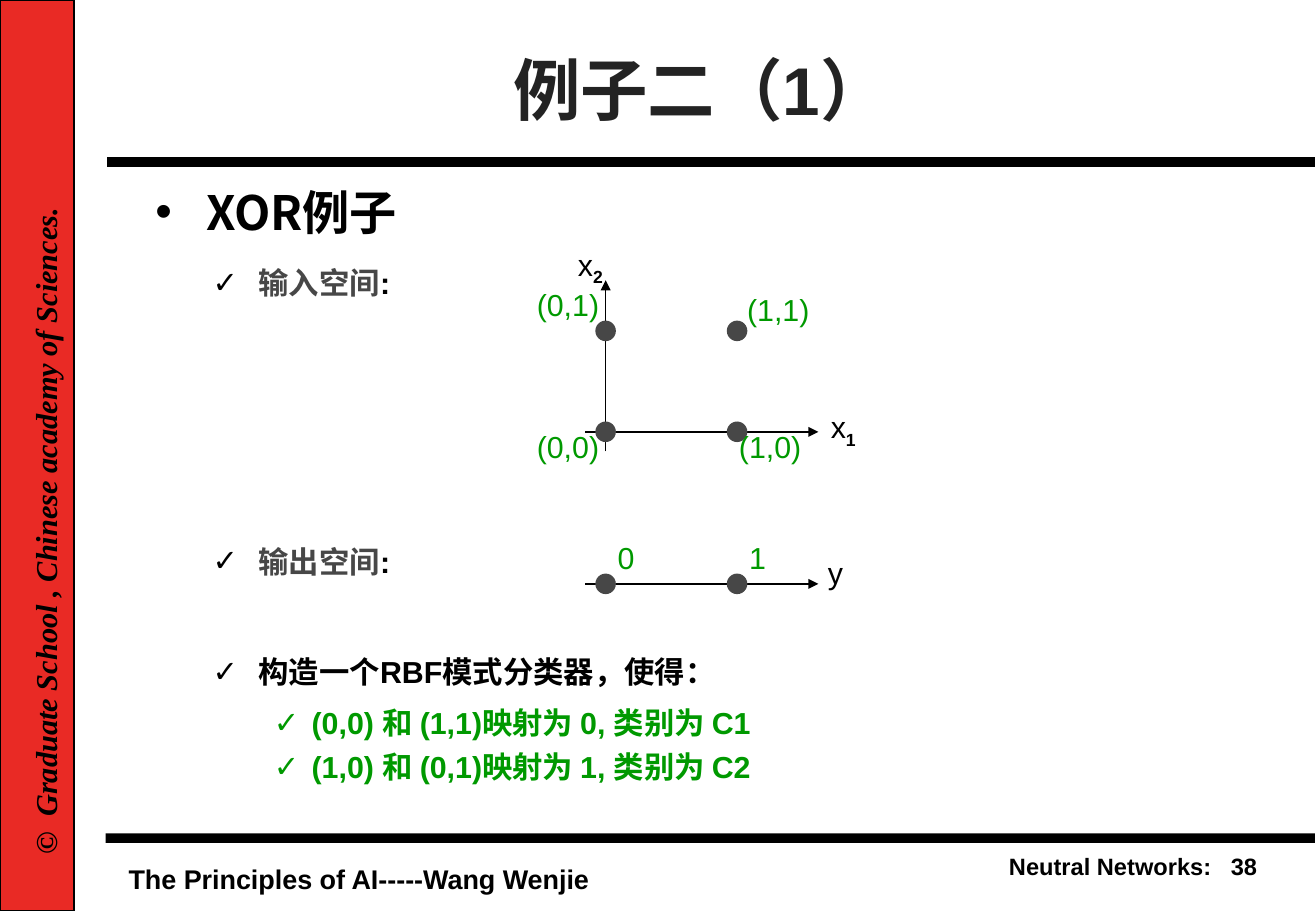
"""Builds the XOR example slide with its input and output spaces."""
from itertools import product

from lxml.etree import SubElement as Sub
from pptx import Presentation
from pptx.dml.color import RGBColor as RGB
from pptx.enum.shapes import MSO_CONNECTOR as Conn, MSO_SHAPE as Shape
from pptx.enum.text import MSO_ANCHOR as Anchor, MSO_AUTO_SIZE as Auto, PP_ALIGN as Align
from pptx.oxml.ns import qn
from pptx.util import Cm, Pt

HUES = {"ink": "000000", "title": "232323", "gray": "474747",
        "green": "009900", "red": "E92A25"}
HAN = "Noto Sans CJK SC"
SUBS = {0: (1.06, -1.06, "•"), 1: (2.16, -0.96, "✓"), 2: (3.27, -0.79, "✓")}


class Deck:
    """Holds the style and the current slide."""

    def __init__(self, wide, high):
        self.prs = Presentation()
        self.prs.slide_width, self.prs.slide_height = Cm(wide), Cm(high)
        self.slide = self.prs.slides.add_slide(self.prs.slide_layouts[1])
        self.shapes = self.slide.shapes

    def hue(self, name):
        return RGB.from_string(HUES[name])

    def run(self, para, text, size=18, hue="ink", face="Arial", base=0, **form):
        run = para.add_run()
        run.text = text
        for key, val in {"size": Pt(size), "name": face, **form}.items():
            setattr(run.font, key, val)
        run.font.color.rgb = self.hue(hue)
        props = run.font._element
        Sub(props, qn("a:ea")).set("typeface", HAN)
        if base:
            props.set("baseline", str(base * 1000))

    def frame(self, box, spot, **form):
        box.left, box.top, box.width, box.height = map(Cm, spot)
        base = {"margin_left": Cm(0.25), "margin_right": Cm(0.25),
                "margin_top": Cm(0.13), "margin_bottom": Cm(0.13),
                "auto_size": Auto.NONE, "word_wrap": True}
        for key, val in {**base, **form}.items():
            setattr(box.text_frame, key, val)
        return box.text_frame

    def title(self, text, spot):
        frame = self.frame(self.shapes.title, spot, vertical_anchor=Anchor.MIDDLE)
        para = frame.paragraphs[0]
        para.alignment = Align.CENTER
        self.run(para, text, 40, "title", bold=True)

    def items(self, rows, spot):
        frame = self.frame(self.slide.placeholders[1], spot,
                           vertical_anchor=Anchor.TOP)
        for num, (level, gap, size, face, dot, parts) in enumerate(rows):
            para = frame.add_paragraph() if num else frame.paragraphs[0]
            form = {"level": level, "space_before": Pt(gap),
                    "space_after": Pt(0), "line_spacing": 1.0}
            for key, val in form.items():
                setattr(para, key, val)
            self.mark(para, *SUBS[level], dot)
            for text, hue in parts:
                self.run(para, text, size, hue, face, bold=True)

    def mark(self, para, left, hang, sign, hue):
        props = para._p.get_or_add_pPr()
        props.set("marL", str(Cm(left)))
        props.set("indent", str(Cm(hang)))
        Sub(Sub(props, qn("a:buClr")), qn("a:srgbClr")).set("val", HUES[hue])
        Sub(props, qn("a:buFont")).set("typeface", "Arial")
        Sub(props, qn("a:buChar")).set("char", sign)

    def label(self, text, spot, sub="", align=Align.LEFT, turn=0, **form):
        box = self.shapes.add_textbox(0, 0, 0, 0)
        para = self.frame(box, spot, word_wrap=False).paragraphs[0]
        box.rotation = turn
        para.alignment = align
        self.run(para, text, **form)
        if sub:
            self.run(para, sub, base=-25, bold=True)

    def solid(self, kind, spot, hue, edge=False):
        form = self.shapes.add_shape(kind, *map(Cm, spot))
        form.shadow.inherit = False
        form.fill.solid()
        form.fill.fore_color.rgb = self.hue(hue)
        if edge:
            form.line.color.rgb = self.hue("ink")
            form.line.width = Pt(1)
        else:
            form.line.fill.background()

    def line(self, ends, width=1, arrow=True):
        link = self.shapes.add_connector(Conn.STRAIGHT, *map(Cm, ends))
        link.line.color.rgb = self.hue("ink")
        link.line.width = Pt(width)
        if arrow:
            Sub(link.line._get_or_add_ln(), qn("a:tailEnd")).set("type", "triangle")
        Sub(link._element.spPr, qn("a:effectLst"))

    def dot(self, mid, high, size=0.43):
        spot = (mid - size / 2, high - size / 2, size, size)
        self.solid(Shape.OVAL, spot, "gray")


def main():
    """Draws the slide and saves it."""
    deck = Deck(27.53, 19.05)
    deck.solid(Shape.RECTANGLE, (2.21, 17.43, 25.3, 0.2), "ink")
    deck.solid(Shape.RECTANGLE, (0, 0, 1.55, 19.05), "red", True)
    deck.line((2.24, 3.39, 27.51, 3.39), 6, False)
    deck.label("The Principles of AI-----Wang Wenjie", (2.44, 17.91, 10.21, 0.93),
               size=16, bold=True)
    deck.label("Neutral Networks:   38", (18.38, 17.69, 8.18, 0.85),
               align=Align.RIGHT, size=14, bold=True)
    deck.label("©  Graduate School , Chinese academy of Sciences.",
               (-6.16, 10.51, 14.2, 1.02), turn=270, face="Times New Roman",
               bold=True, italic=True)

    deck.title("例子二（1）", (2.98, 0.55, 23.34, 2.62))
    deck.items([
        (0, 0, 28, HAN, "ink", [("XOR例子", "ink")]),
        (1, 14.5, 18, "Arial", "ink", [("输入空间", "gray"), (":", "ink")]),
        (1, 143.5, 18, "Arial", "ink", [("输出空间", "gray"), (":", "ink")]),
        (1, 44, 18, "Arial", "ink", [("构造一个RBF模式分类器，使得：", "ink")]),
        (2, 8.5, 18, "Arial", "green", [("(0,0) 和 (1,1)映射为 0, 类别为 C1", "green")]),
        (2, 4.5, 18, "Arial", "green", [("(1,0) 和 (0,1)映射为 1, 类别为 C2", "green")]),
    ], (3, 3.7, 23.11, 13.22))

    left, base, low = 12.67, 9.03, 12.21
    wide, high = 2.75, 2.11
    deck.line((left, base + 0.41, left, 5.86))
    for level in (base, low):
        deck.line((left - 0.43, level, 17.12, level))
    for col, row in product((0, 1), repeat=2):
        deck.dot(left + col * wide, base - row * high)
    for col in (0, 1):
        deck.dot(left + col * wide, low)
        deck.label(str(col), (left + col * wide, 11.15, 0.86, 1.02), hue="green")

    for text, col, row in (("(1,1)", 15.38, 5.96), ("(0,1)", 10.98, 5.86),
                           ("(0,0)", 10.98, 8.82), ("(1,0)", 15.21, 8.82)):
        deck.label(text, (col, row, 1.8, 1.02), hue="green")
    for text, sub, col, row in (("x", "1", 17.13, 8.41), ("x", "2", 11.84, 5.01),
                                ("y", "", 17.07, 11.46)):
        deck.label(text, (col, row, 1.02, 1.12), sub)
    deck.prs.save("out.pptx")


if __name__ == "__main__":
    main()
